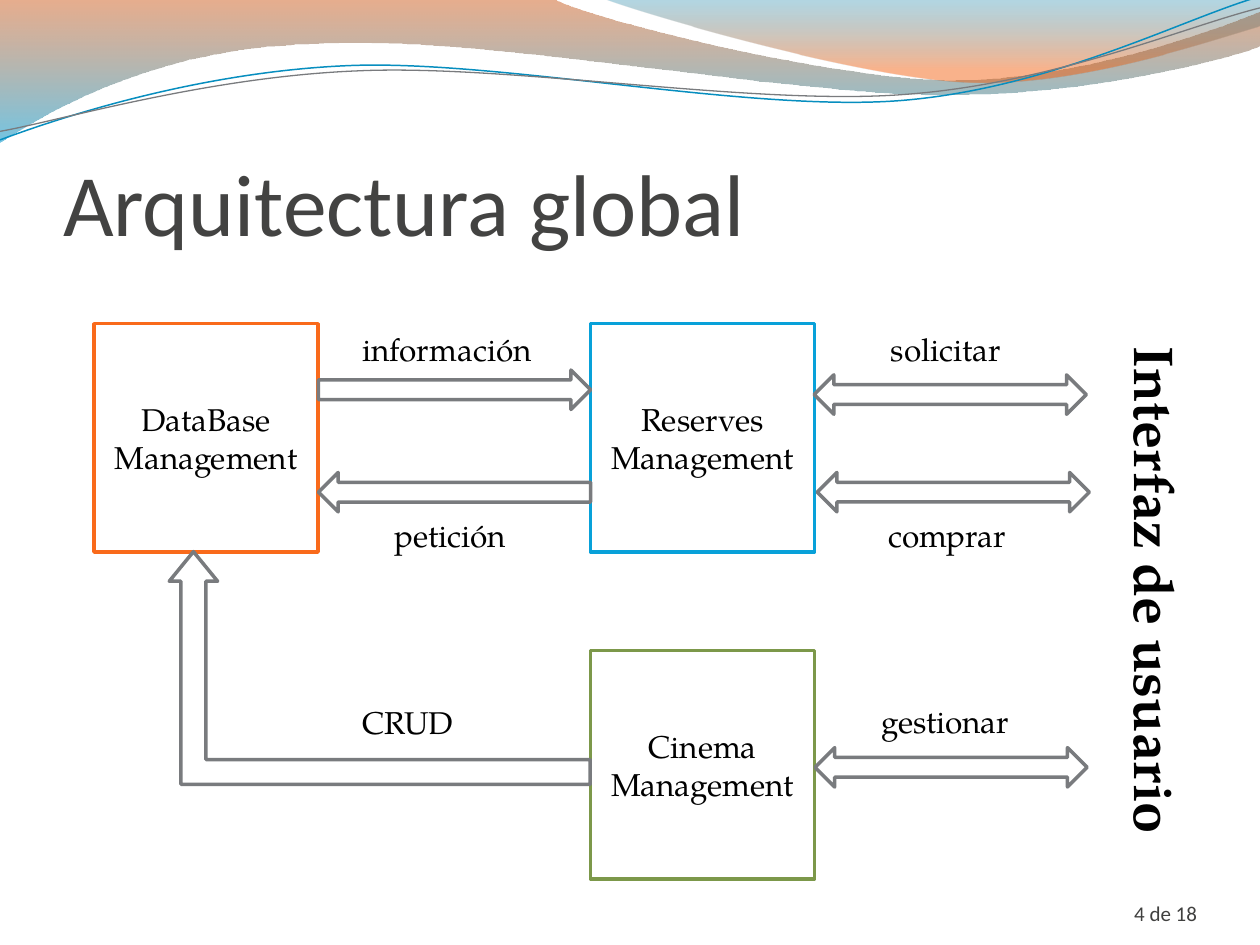
from dataclasses import dataclass

from pptx import Presentation
from pptx.dml.color import RGBColor as Rgb
from pptx.enum.shapes import MSO_SHAPE as Kind
from pptx.enum.text import MSO_ANCHOR as Anchor, PP_ALIGN as Align
from pptx.oxml.ns import qn
from pptx.util import Pt
from lxml.etree import SubElement as Sub


@dataclass(frozen=True)
class Theme:
    head: str = "Calibri"
    body: str = "TeX Gyre Pagella"
    white: str = "FFFFFF"
    black: str = "000000"
    title: str = "434342"
    foot: str = "40403F"
    gray: str = "797B7E"
    orange: str = "F96A1B"
    blue: str = "08A1D9"
    green: str = "7C984A"
    wave: str = "078EBF"
    warm: tuple = ((0, "C94A04", 45), (1, "0095CC", 55))
    cool: tuple = ((0, "007AA6", 30), (0.8, "F45700", 45))
    big: float = 50
    side: float = 32
    text: float = 18
    small: float = 12
    line: float = 2


def color(code):
    return Rgb.from_string(code)


def write(frame, text, font, size, ink, bold=False, align=Align.LEFT,
          anchor=Anchor.TOP, wrap=True, inset=None):
    """Fill a text frame, one paragraph per line of text."""
    frame.word_wrap = wrap
    frame.vertical_anchor = anchor
    if inset:
        (frame.margin_left, frame.margin_top,
         frame.margin_right, frame.margin_bottom) = map(Pt, inset)
    for i, line in enumerate(text.split("\n")):
        para = frame.paragraphs[0] if i == 0 else frame.add_paragraph()
        para.alignment = align
        run = para.add_run()
        run.text = line
        run.font.name, run.font.size, run.font.bold = font, Pt(size), bold
        run.font.color.rgb = color(ink)


class Deck:
    def __init__(self, theme):
        self.theme = theme
        self.show = Presentation()
        self.show.slide_width, self.show.slide_height = Pt(720), Pt(540)
        self.slide = self.show.slides.add_slide(self.show.slide_layouts[5])
        self.shapes = self.slide.shapes

    def title(self, text, x, y, w, h):
        box = self.shapes.title
        box.left, box.top, box.width, box.height = map(Pt, (x, y, w, h))
        write(box.text_frame, text, self.theme.head, self.theme.big,
              self.theme.title, anchor=Anchor.BOTTOM, inset=(0, 3.6, 0, 0))
        # In front of the waves
        self.shapes._spTree.append(box._element)

    def curve(self, start, parts, close):
        """Outline of lines (2 numbers) and Bézier curves (6 numbers)."""
        pen = self.shapes.build_freeform(*map(Pt, start))
        dots = [(Pt(x), Pt(y)) for part in parts
                for x, y in zip(part[::2], part[1::2])]
        pen.add_line_segments(dots, close=close)
        form = pen.convert_to_shape()
        form.shadow.inherit = False
        lines = iter(list(form._element.spPr.iter(qn("a:lnTo"))))
        for part in parts:
            first = next(lines)
            if len(part) == 6:
                bend = Sub(first.getparent(), qn("a:cubicBezTo"))
                first.addprevious(bend)
                for line in (first, next(lines), next(lines)):
                    bend.append(line[0])
                    line.getparent().remove(line)
        return form

    def band(self, stops, start, *parts):
        form = self.curve(start, parts, True)
        form.line.fill.background()
        form.fill.gradient()
        form.fill.gradient_angle = 270
        for stop, (pos, code, _) in zip(form.fill.gradient_stops, stops):
            stop.position = pos
            stop.color.rgb = color(code)
        tints = form._element.spPr.iter(qn("a:srgbClr"))
        for tint, (_, _, alpha) in zip(list(tints), stops):
            Sub(tint, qn("a:alpha")).set("val", str(alpha * 1000))

    def wave(self, ink, width, start, *parts):
        form = self.curve(start, parts, False)
        form.rotation = 357.3
        form.fill.background()
        form.line.color.rgb = color(ink)
        form.line.width = Pt(width)

    def shape(self, kind, x, y, w, h, ink, turn=0):
        form = self.shapes.add_shape(kind, *map(Pt, (x, y, w, h)))
        form.shadow.inherit = False
        form.fill.solid()
        form.fill.fore_color.rgb = color(self.theme.white)
        form.line.color.rgb = color(ink)
        form.line.width = Pt(self.theme.line)
        form.rotation = turn
        return form

    def block(self, text, x, y, ink):
        form = self.shape(Kind.RECTANGLE, x, y, 128, 130.5, ink)
        write(form.text_frame, text, self.theme.body, self.theme.text,
              self.theme.black, align=Align.CENTER, anchor=Anchor.MIDDLE)

    def arrow(self, kind, x, y, w=155.5, h=22.5, turn=0, adjust=()):
        form = self.shape(kind, x, y, w, h, self.theme.gray, turn)
        for i, value in enumerate(adjust):
            form.adjustments[i] = value

    def label(self, text, x, y, w, h=29, upright=True, **style):
        box = self.shapes.add_textbox(*map(Pt, (x, y, w, h)))
        look = dict(font=self.theme.body, size=self.theme.text,
                    ink=self.theme.black, wrap=False)
        write(box.text_frame, text, **{**look, **style})
        if not upright:
            box.text_frame._txBody.bodyPr.set("vert", "vert")


def main():
    theme = Theme()
    deck = Deck(theme)

    # Waves along the top
    deck.band(theme.warm, (0, 0), (317, -0.5),
              (342.5, 12, 478, 45.5, 546, 45.5),
              (614, 45.5, 690, 18.5, 720, 6.5), (720.5, 26),
              (708, 31.5, 626.5, 54.5, 537, 54),
              (447, 54, 275, 20, 185, 24.5),
              (93, 26, 33, 60, -0.5, 81.5), (0, 0))
    deck.band(theme.cool, (345, -0.5),
              (366.5, 8, 491, 44.5, 553.5, 47),
              (616.5, 49.5, 692, 23, 720, 15), (720, 0), (345, -0.5))
    deck.wave(theme.wave, 0.85, (-1.4, 63),
              (33.7, 51.7, 114.3, 29.4, 199.9, 30),
              (284.9, 30.5, 425.8, 67.2, 512.5, 64.8),
              (599.2, 62.3, 676.6, 25.9, 720.1, 15.4))
    deck.wave(theme.gray, 0.75, (-1.1, 58.1),
              (33.2, 53.7, 118.2, 32.6, 204.3, 33.2),
              (290.4, 33.2, 429.1, 63.8, 515.3, 61.4),
              (601.4, 59.4, 678.4, 30, 721.4, 21.5))

    deck.title("Arquitectura global", 36, 55.25, 648, 90)

    # Modules
    left, mid, top, low = 53.75, 337.5, 185, 371.75
    deck.block("DataBase\nManagement", left, top, theme.orange)
    deck.block("Reserves\nManagement", mid, top, theme.blue)
    deck.block("Cinema\nManagement", mid, low, theme.green)

    # Arrows between modules and to the interface
    deck.arrow(Kind.RIGHT_ARROW, 182, 211.5)
    deck.arrow(Kind.RIGHT_ARROW, 182, 270, turn=180)
    deck.arrow(Kind.BENT_ARROW, 150.5, 261.5, 133, 240.5, turn=270,
               adjust=(0.107, 0.104, 0.127, 0))
    for x, y in ((465.25, 214.25), (467, 270), (465.75, 427.25)):
        deck.arrow(Kind.LEFT_RIGHT_ARROW, x, y)

    # Arrow labels
    for text, x, y, w in (
            ("información", 200, top, 119), ("petición", 218.25, 291.5, 83),
            ("solicitar", 502, top, 82), ("comprar", 500.75, 291.5, 88),
            ("gestionar", 496.5, 397.75, 93.5), ("CRUD", 200, 398, 67.5)):
        deck.label(text, x, y, w)

    # Interface and page number
    deck.label("Interfaz de usuario", 631, 191, 53, 300, upright=False,
               size=theme.side, bold=True)
    deck.label("4 de 18", 624, 500.25, 60, font=theme.head, size=theme.small,
               ink=theme.foot, align=Align.RIGHT, anchor=Anchor.BOTTOM,
               wrap=True, inset=(0, 0, 0, 0))

    deck.show.save("out.pptx")


if __name__ == "__main__":
    main()
